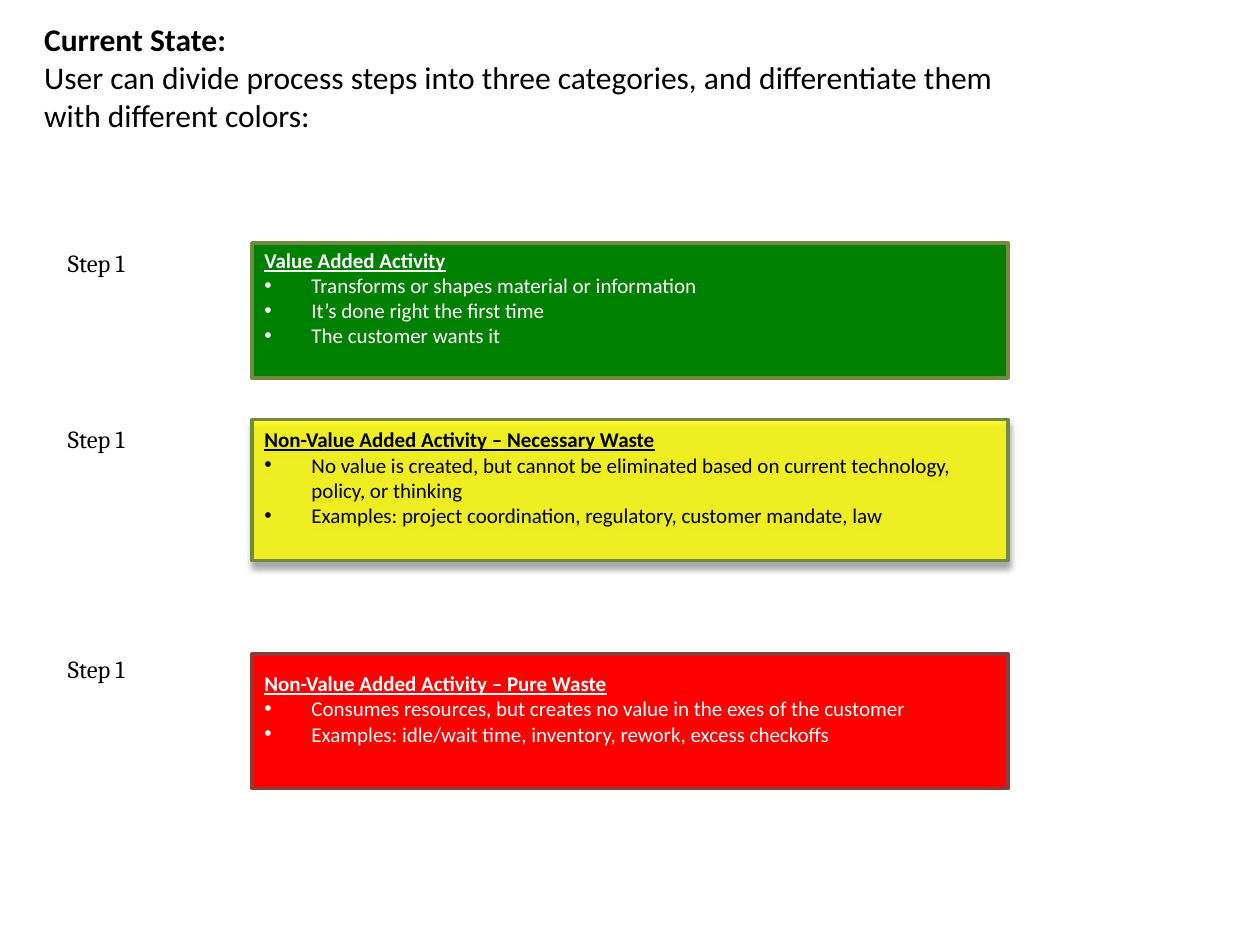
"""Build a slide that sorts process steps into three colour-coded categories."""
import pptx
import pptx.dml.color
import pptx.enum.shapes
import pptx.enum.text
import pptx.oxml.ns
import pptx.oxml.xmlchemy
import pptx.util

Cm, Pt = pptx.util.Cm, pptx.util.Pt
qn = pptx.oxml.ns.qn

COLORS = {
    "black": "000000",
    "white": "FFFFFF",
    "green": "008000",
    "yellow": "FFFF00",
    "red": "FF0000",
    "olive": "738A42",
    "maroon": "8E3B39",
}

CATEGORIES = [
    dict(
        title="Value Added Activity",
        points=[
            "Transforms or shapes material or information",
            "It’s done right the first time",
            "The customer wants it",
        ],
        label_top=4.88, top=4.9, height=2.72,
        fill="green", line="olive", color="white",
    ),
    dict(
        title="Non-Value Added Activity – Necessary Waste",
        points=[
            "No value is created, but cannot be eliminated based on current "
            "technology, policy, or thinking",
            "Examples: project coordination, regulatory, customer mandate, law",
        ],
        label_top=8.43, top=8.46, height=2.84,
        fill="yellow", line="olive", color="black", raised=True,
    ),
    dict(
        title="Non-Value Added Activity – Pure Waste",
        points=[
            "Consumes resources, but creates no value in the exes of the customer",
            "Examples: idle/wait time, inventory, rework, excess checkoffs",
        ],
        label_top=13.06, top=13.18, height=2.72,
        fill="red", line="maroon", color="white",
    ),
]


def rgb(name):
    return pptx.dml.color.RGBColor.from_string(COLORS[name])


def add_element(parent, tag, **attributes):
    element = pptx.oxml.xmlchemy.OxmlElement(tag)
    for key, value in attributes.items():
        element.set(key, str(value))
    parent.append(element)
    return element


def write_para(frame, text, first=False, size=12, font="Calibri", color="black",
               bold=False, underline=False, bullet=False):
    para = frame.paragraphs[0] if first else frame.add_paragraph()
    para.alignment = pptx.enum.text.PP_ALIGN.LEFT
    if bullet:
        properties = para._p.get_or_add_pPr()
        properties.set("marL", str(Cm(0.95)))
        properties.set("indent", str(-Cm(0.95)))
        add_element(properties, "a:buFont", typeface="Arial")
        add_element(properties, "a:buChar", char="•")
    span = para.add_run()
    span.text = text
    span.font.size = Pt(size)
    span.font.name = font
    span.font.bold = bold
    span.font.underline = underline
    span.font.color.rgb = rgb(color)


def add_text_box(page, left, top, width, height, wrap=True):
    box = page.shapes.add_textbox(Cm(left), Cm(top), Cm(width), Cm(height))
    box.text_frame.word_wrap = wrap
    return box.text_frame


def raise_box(box):
    properties = box._element.spPr
    fill_color = properties.find(qn("a:solidFill")).find(qn("a:srgbClr"))
    add_element(fill_color, "a:alpha", val=80000)
    shadow = add_element(properties.find(qn("a:effectLst")), "a:outerShdw",
                         blurRad=Pt(4), dist=Pt(3), dir=90 * 60000, rotWithShape=0)
    shadow_color = add_element(shadow, "a:srgbClr", val=COLORS["black"])
    add_element(shadow_color, "a:alpha", val=40000)


def add_category(page, title, points, label_top, top, height, fill, line, color,
                 raised=False):
    label = add_text_box(page, 1.12, label_top, 1.8, 0.84, wrap=False)
    write_para(label, "Step 1", first=True, size=14, font="Cambria")

    box = page.shapes.add_shape(pptx.enum.shapes.MSO_SHAPE.RECTANGLE,
                                Cm(5.08), Cm(top), Cm(15.24), Cm(height))
    box.shadow.inherit = False
    box.fill.solid()
    box.fill.fore_color.rgb = rgb(fill)
    box.line.color.rgb = rgb(line)
    box.line.width = Pt(2)
    if raised:
        raise_box(box)

    frame = box.text_frame
    frame.word_wrap = True
    frame.vertical_anchor = pptx.enum.text.MSO_ANCHOR.MIDDLE
    frame.margin_bottom = Cm(0.64)
    write_para(frame, title, first=True, color=color, bold=True, underline=True)
    for point in points:
        write_para(frame, point, color=color, bullet=True)


def main():
    deck = pptx.Presentation()
    deck.slide_width, deck.slide_height = Cm(25.4), Cm(19.05)
    page = deck.slides.add_slide(deck.slide_layouts[6])

    heading = add_text_box(page, 0.64, 0.28, 20.62, 2.57)
    write_para(heading, "Current State:", first=True, size=18, bold=True)
    write_para(heading, "User can divide process steps into three categories, "
               "and differentiate them with different colors:", size=18)

    for category in CATEGORIES:
        add_category(page, **category)
    deck.save("out.pptx")


if __name__ == "__main__":
    main()
